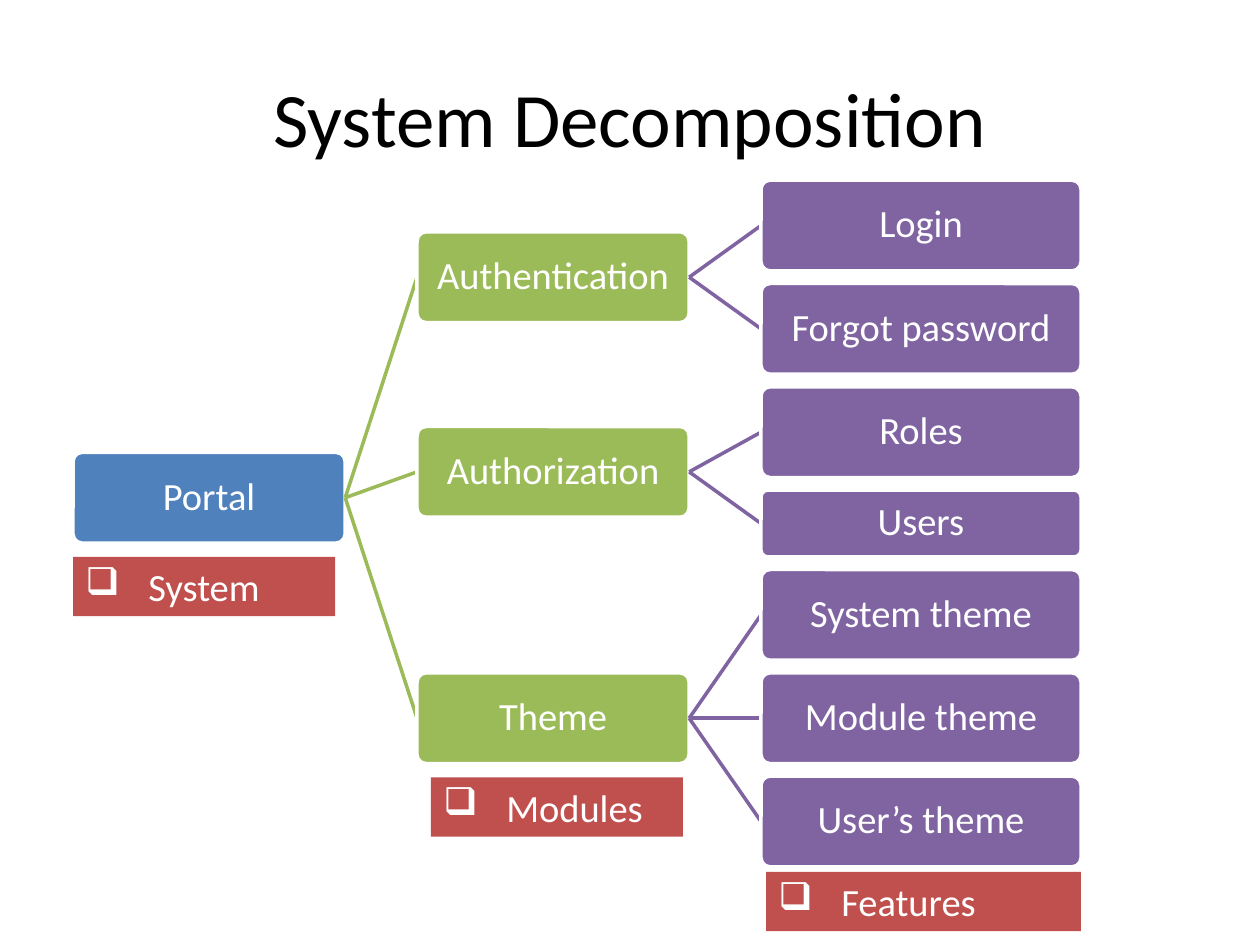
"""Build the System Decomposition tree slide."""
import pptx
import pptx.dml.color
import pptx.enum.shapes
import pptx.enum.text
import pptx.oxml.ns
import pptx.util
from lxml import etree

Inches = pptx.util.Inches
Pt = pptx.util.Pt
RGBColor = pptx.dml.color.RGBColor
Kind = pptx.enum.shapes.MSO_SHAPE
Align = pptx.enum.text.PP_ALIGN
Anchor = pptx.enum.text.MSO_ANCHOR
Fit = pptx.enum.text.MSO_AUTO_SIZE
qn = pptx.oxml.ns.qn

BLACK = RGBColor(0x00, 0x00, 0x00)
WHITE = RGBColor(0xFF, 0xFF, 0xFF)
BLUE = RGBColor(0x4F, 0x81, 0xBD)
GREEN = RGBColor(0x9B, 0xBB, 0x59)
PURPLE = RGBColor(0x80, 0x64, 0xA2)
RED = RGBColor(0xC0, 0x50, 0x4D)

TALL, GAP = 0.72, 0.1
ROOT, MID, LEAF = 0.58, 3.31, 6.04
WIDE, BROAD = 2.16, 2.54

TREE = [
    ("Authentication", [("Login", TALL), ("Forgot password", TALL)]),
    ("Authorization", [("Roles", TALL), ("Users", 0.53)]),
    ("Theme", [("System theme", TALL), ("Module theme", TALL), ("User’s theme", TALL)]),
]
TAGS = [
    ("System", 0.58, 4.42, 2.08),
    ("Modules", 3.42, 6.17, 2),
    ("Features", 6.08, 6.92, 2.5),
]

deck = pptx.Presentation()
deck.slide_width = Inches(10)
deck.slide_height = Inches(7.5)
slide = deck.slides.add_slide(deck.slide_layouts[6])
shapes = slide.shapes


def node(text, left, mid, width, height, fill):
    box = shapes.add_shape(Kind.ROUNDED_RECTANGLE, Inches(left), Inches(mid - height / 2),
                           Inches(width), Inches(height))
    box.adjustments[0] = 0.1
    box.shadow.inherit = False
    box.fill.solid()
    box.fill.fore_color.rgb = fill
    box.line.color.rgb = WHITE
    box.line.width = Pt(2)
    frame = box.text_frame
    frame.word_wrap = True
    frame.vertical_anchor = Anchor.MIDDLE
    frame.margin_left = frame.margin_right = Inches(0.02)
    frame.margin_top = frame.margin_bottom = Inches(0.02)
    para = frame.paragraphs[0]
    para.alignment = Align.CENTER
    para.line_spacing = 0.9
    run = para.add_run()
    run.text = text
    run.font.name = "Calibri"
    run.font.size = Pt(22)
    run.font.color.rgb = WHITE


def link(left, start, right, end, color):
    line = shapes.add_connector(pptx.enum.shapes.MSO_CONNECTOR.STRAIGHT, Inches(left),
                                Inches(start), Inches(right), Inches(end))
    line.line.color.rgb = color
    line.line.width = Pt(2)
    etree.SubElement(line._element.spPr, qn("a:effectLst"))


title = shapes.add_textbox(Inches(0.5), Inches(0.3), Inches(9), Inches(1.25))
title.text_frame.word_wrap = True
title.text_frame.vertical_anchor = Anchor.MIDDLE
para = title.text_frame.paragraphs[0]
para.alignment = Align.CENTER
run = para.add_run()
run.text = "System Decomposition"
run.font.name = "Calibri"
run.font.size = Pt(44)
run.font.color.rgb = BLACK

top = 1.43
groups = []
for name, leaves in TREE:
    first = top
    spots = []
    for leaf, height in leaves:
        spots.append((leaf, top + height / 2, height))
        top += height + GAP
    groups.append((name, (first + top - GAP) / 2, spots))

hub = (groups[0][1] + groups[-1][1]) / 2
node("Portal", ROOT, hub, WIDE, TALL, BLUE)
for name, mid, spots in groups:
    link(ROOT + WIDE, hub, MID, mid, GREEN)
    node(name, MID, mid, WIDE, TALL, GREEN)
    for leaf, spot, height in spots:
        link(MID + WIDE, mid, LEAF, spot, PURPLE)
        node(leaf, LEAF, spot, BROAD, height, PURPLE)

for text, left, top, width in TAGS:
    tag = shapes.add_shape(Kind.RECTANGLE, Inches(left), Inches(top), Inches(width), Inches(0.47))
    tag.shadow.inherit = False
    tag.fill.solid()
    tag.fill.fore_color.rgb = RED
    tag.line.fill.background()
    frame = tag.text_frame
    frame.word_wrap = True
    frame.auto_size = Fit.SHAPE_TO_FIT_TEXT
    frame.vertical_anchor = Anchor.TOP
    para = frame.paragraphs[0]
    para.alignment = Align.LEFT
    props = para._p.get_or_add_pPr()
    props.set("marL", str(Inches(0.5)))
    props.set("indent", str(Inches(-0.5)))
    etree.SubElement(props, qn("a:buChar"), char="❑")
    run = para.add_run()
    run.text = text
    run.font.name = "Calibri"
    run.font.size = Pt(22)
    run.font.color.rgb = WHITE

deck.save("out.pptx")
